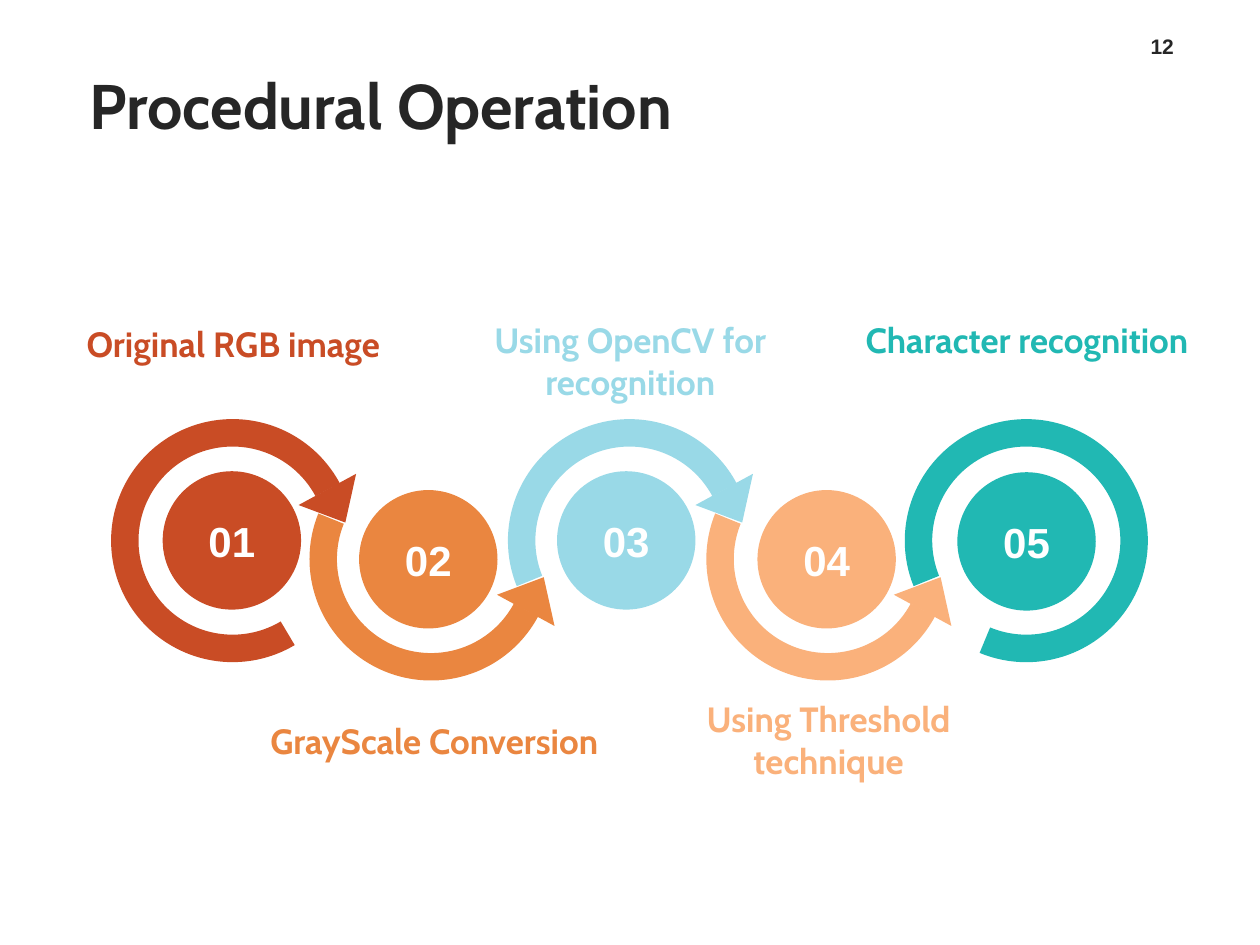
from pptx import Presentation
from pptx.dml.color import RGBColor
from pptx.enum.shapes import MSO_SHAPE
from pptx.enum.text import MSO_ANCHOR, PP_ALIGN
from pptx.util import Cm, Pt

ARC, TRIANGLE, OVAL = MSO_SHAPE.BLOCK_ARC, MSO_SHAPE.ISOSCELES_TRIANGLE, MSO_SHAPE.OVAL
MIDDLE, BOTTOM = MSO_ANCHOR.MIDDLE, MSO_ANCHOR.BOTTOM
LEFT, CENTER = PP_ALIGN.LEFT, PP_ALIGN.CENTER

DARK = RGBColor(0x26, 0x26, 0x26)
WHITE = RGBColor(0xFF, 0xFF, 0xFF)
RUST = RGBColor(0xC9, 0x4C, 0x25)
ORANGE = RGBColor(0xEA, 0x86, 0x40)
SKY = RGBColor(0x99, 0xD9, 0xE7)
PEACH = RGBColor(0xFA, 0xB1, 0x7B)
TEAL = RGBColor(0x21, 0xB8, 0xB3)

STEP_GAP = 4
RING_SIZE = 4.9
DISC_SIZE = 2.79


def add_filled(shapes, kind, left, top, width, height, color):
    shape = shapes.add_shape(kind, Cm(left), Cm(top), Cm(width), Cm(height))
    shape.shadow.inherit = False
    shape.fill.solid()
    shape.fill.fore_color.rgb = color
    shape.line.fill.background()
    return shape


def write(shape, text, font, size, color, align=CENTER, anchor=MIDDLE):
    frame = shape.text_frame
    frame.word_wrap = True
    frame.vertical_anchor = anchor
    frame.margin_left = frame.margin_right = frame.margin_top = frame.margin_bottom = 0
    frame.text = text
    paragraph = frame.paragraphs[0]
    paragraph.alignment = align
    run_font = paragraph.runs[0].font
    run_font.name = font
    run_font.size = Pt(size)
    run_font.bold = True
    run_font.color.rgb = color


prs = Presentation()
prs.slide_width, prs.slide_height = Cm(25.4), Cm(19.05)
slide = prs.slides.add_slide(prs.slide_layouts[6])

title = slide.shapes.add_textbox(Cm(1.3), Cm(1.2), Cm(18), Cm(1.8))
write(title, "Procedural Operation", "Cabin", 36, DARK, LEFT)
title.text_frame.margin_left = Cm(0.5)

page_number = slide.shapes.add_textbox(Cm(22.73), Cm(0.48), Cm(1.4), Cm(0.84))
write(page_number, "12", "Arial", 12, DARK, anchor=BOTTOM)
page_number.text_frame.margin_bottom = Cm(0.13)

steps = [
    ("Original RGB image", RUST, 35.56, 199.08, 3.28, 9.5, 1.11, 6.5, 0.86),
    ("GrayScale Conversion", ORANGE, 94.81, 199.08, 7.24, 9.88, 5.16, 14.5, 0.86),
    ("Using OpenCV for recognition", SKY, 94.81, 199.08, 11.23, 9.5, 9.11, 6.42, 1.7),
    ("Using Threshold technique", PEACH, 94.81, 199.08, 15.27, 9.88, 13.11, 14.05, 1.7),
    ("Character recognition", TEAL, 94.81, 67.55, 19.3, 9.52, 17.11, 6.42, 0.86),
]

for index, (_, color, start, end, *_) in enumerate(steps):
    below = index % 2 == 1
    is_last = index == len(steps) - 1
    ring_left = 2.24 + STEP_GAP * index
    ring_top = 8.82 if below else 8.45
    parts = slide.shapes if is_last else slide.shapes.add_group_shape().shapes

    ring = add_filled(parts, ARC, ring_left, ring_top, RING_SIZE, RING_SIZE, color)
    ring.adjustments[0] = start
    ring.adjustments[1] = end
    ring.adjustments[2] = 0.113
    flipped = [ring]

    if not is_last:
        tip_top = ring_top + (2.77 if below else 1.37)
        tip = add_filled(parts, TRIANGLE, ring_left + 3.88, tip_top, 1.32, 0.76, color)
        tip.rotation = 208.5 if below else 151.5
        flipped.append(tip)

    if below:
        for part in flipped:
            part._element.spPr.xfrm.set("flipV", "1")

for number, step in enumerate(steps, 1):
    label, color, _, _, disc_left, disc_top, label_left, label_top, label_height = step
    disc = add_filled(slide.shapes, OVAL, disc_left, disc_top, DISC_SIZE, DISC_SIZE, color)
    write(disc, f"{number:02}", "Arial", 24, WHITE)
    caption = slide.shapes.add_textbox(Cm(label_left), Cm(label_top), Cm(7.19), Cm(label_height))
    write(caption, label, "Cabin", 20, color)

prs.save("out.pptx")
